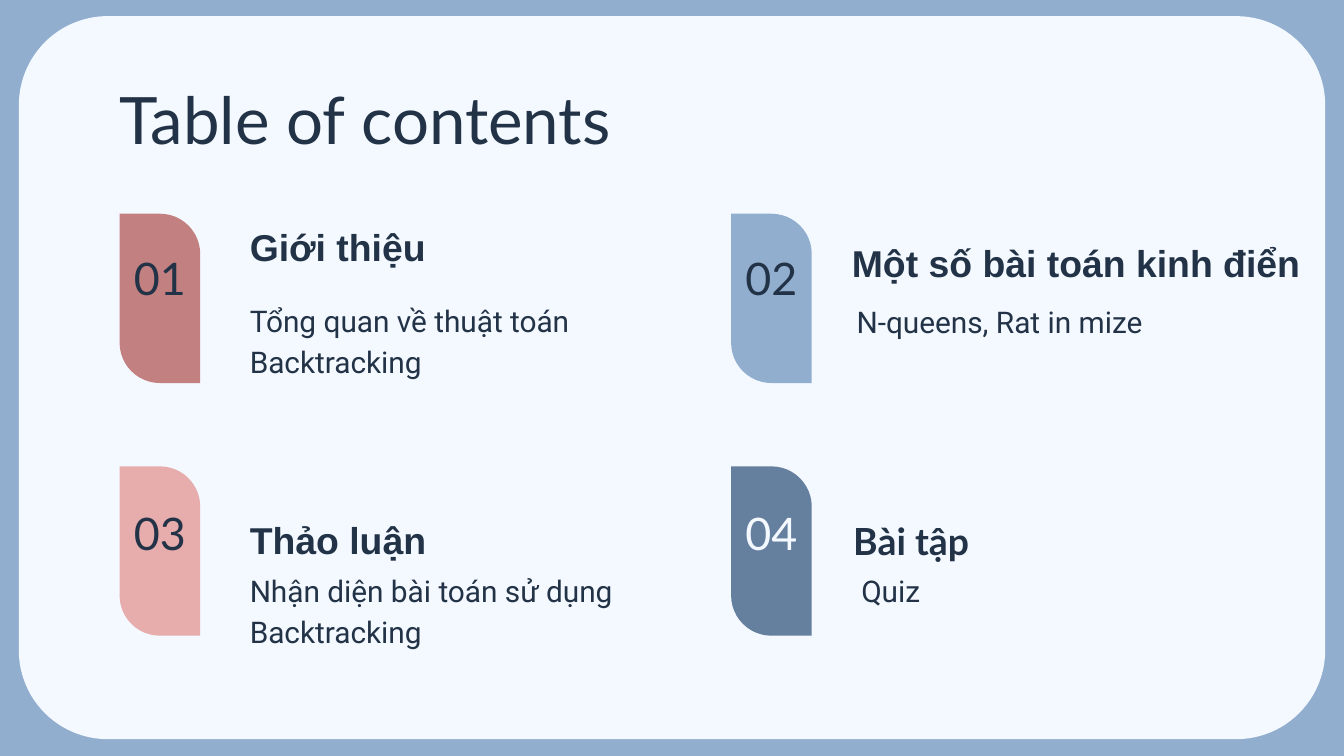
from pptx import Presentation
from pptx.dml.color import RGBColor
from pptx.enum.shapes import MSO_SHAPE as Shape
from pptx.enum.text import MSO_ANCHOR as Anchor, MSO_AUTO_SIZE as AutoSize, PP_ALIGN as Align
from pptx.util import Inches, Pt

BLUE = "92AECE"
PAPER = "F4F9FF"
INK = "233347"
TAB_LEFTS = (0.56, 5.11)
TAB_TOPS = (1.92, 3.8)
NUMBER_LEFTS = (0.79, 5.34)
NUMBER_TOPS = (1.82, 3.72)

SECTIONS = [
    ("Giới thiệu", (1.76, 1.13, 2.91, 0.97), "Arial",
     "Tổng quan về thuật toán Backtracking", (1.76, 2.11, 2.91, 0.63), "C38080", INK),
    ("Một số bài toán kinh điển", (6.24, 1.55, 3.57, 0.67), "Arial",
     " N-queens, Rat in mize", (6.22, 2.12, 2.91, 0.63), BLUE, INK),
    ("Thảo luận", (1.76, 3.31, 2.91, 0.97), "Arial",
     "Nhận diện bài toán sử dụng Backtracking", (1.76, 4.12, 2.91, 0.74), "E7ACAC", INK),
    ("Bài tập", (6.25, 3.32, 2.91, 0.97), "Lato",
     "Quiz", (6.31, 4.12, 2.91, 0.63), "657F9E", PAPER),
]


def paint(fill, color):
    fill.solid()
    fill.fore_color.rgb = RGBColor.from_string(color)


def add_panel(slide, kind, box, color, adjustments, rotation=0):
    shape = slide.shapes.add_shape(kind, *map(Inches, box))
    for index, value in enumerate(adjustments):
        shape.adjustments[index] = value
    shape.rotation = rotation
    shape.shadow.inherit = False
    shape.line.fill.background()
    paint(shape.fill, color)


def format_text(shape, text, size, font, color=INK, bold=False,
                align=Align.LEFT, anchor=Anchor.TOP, spacing=1.0):
    frame = shape.text_frame
    frame.text = text
    frame.word_wrap = True
    frame.auto_size = AutoSize.NONE
    frame.vertical_anchor = anchor
    frame.margin_left = frame.margin_right = Inches(0.1)
    frame.margin_top = frame.margin_bottom = Inches(0.1)
    paragraph = frame.paragraphs[0]
    paragraph.alignment = align
    paragraph.line_spacing = spacing
    run_font = paragraph.runs[0].font
    run_font.name = font
    run_font.size = Pt(size)
    run_font.bold = bold
    paint(run_font.fill, color)


def add_text(slide, box, text, size, font, **style):
    shape = slide.shapes.add_textbox(*map(Inches, box))
    format_text(shape, text, size, font, **style)


def set_title(slide, box, text):
    title = slide.shapes.title
    title.left, title.top, title.width, title.height = map(Inches, box)
    format_text(title, text, 35, "Lato")


def add_section(slide, index, section):
    heading, heading_box, heading_font, summary, summary_box, tab_color, number_color = section
    row, column = divmod(index, 2)
    add_panel(slide, Shape.ROUND_2_DIAG_RECTANGLE,
              (TAB_LEFTS[column], TAB_TOPS[row], 1.26, 0.6), tab_color, (0.5, 0), 270)
    add_text(slide, (NUMBER_LEFTS[column], NUMBER_TOPS[row], 0.8, 0.49), f"{index + 1:02}",
             24, "Lato", color=number_color, align=Align.CENTER, anchor=Anchor.MIDDLE)
    add_text(slide, summary_box, summary, 16, "Roboto", spacing=1.15)
    add_text(slide, heading_box, heading, 20, heading_font,
             bold=True, anchor=Anchor.BOTTOM, spacing=1.15)


def main():
    presentation = Presentation()
    presentation.slide_width = Inches(10)
    presentation.slide_height = presentation.slide_width * 9 // 16
    layout = presentation.slide_layouts.get_by_name("Title Only")
    slide = presentation.slides.add_slide(layout)
    paint(slide.background.fill, BLUE)
    add_panel(slide, Shape.ROUNDED_RECTANGLE, (0.14, 0.12, 9.72, 5.38), PAPER, (0.123,))
    tree = slide.shapes.title.element.getparent()
    tree.append(slide.shapes.title.element)
    set_title(slide, (0.79, 0.49, 8.43, 0.63), "Table of contents")
    for index, section in enumerate(SECTIONS):
        add_section(slide, index, section)
    presentation.save("out.pptx")


if __name__ == "__main__":
    main()
